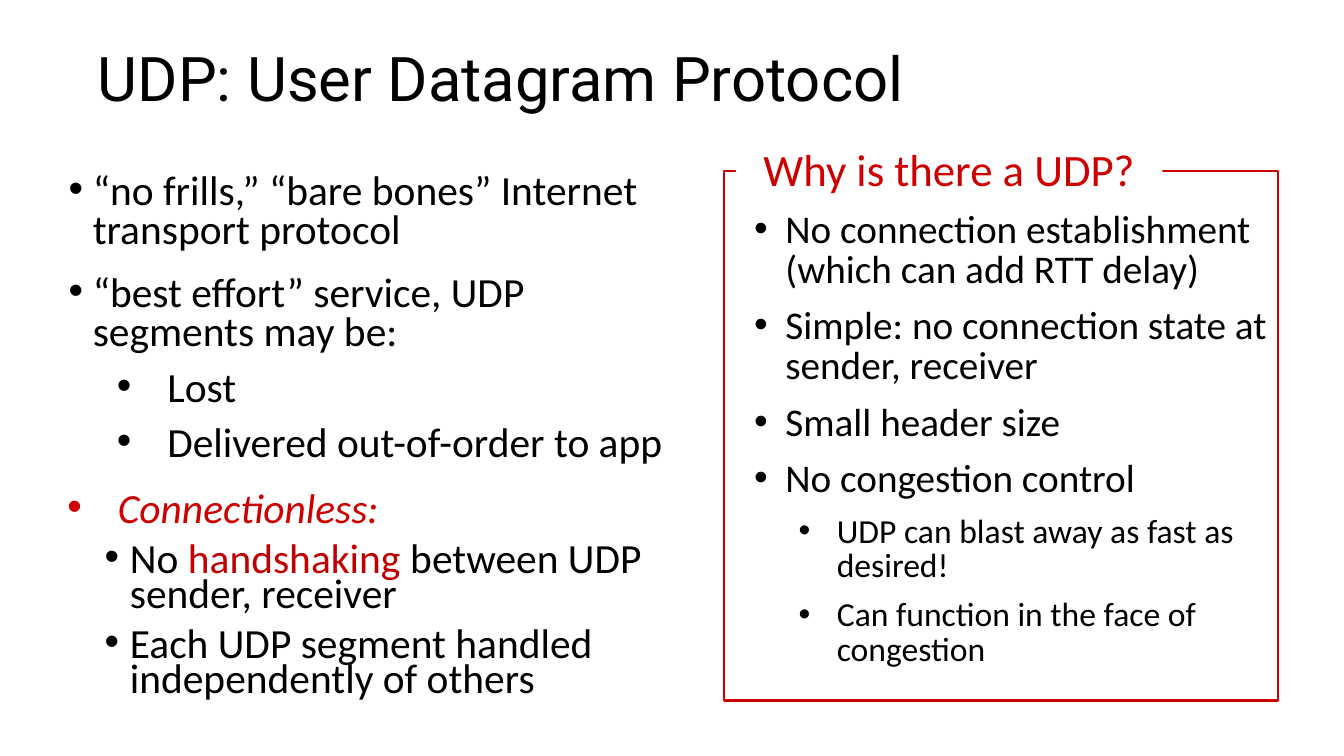
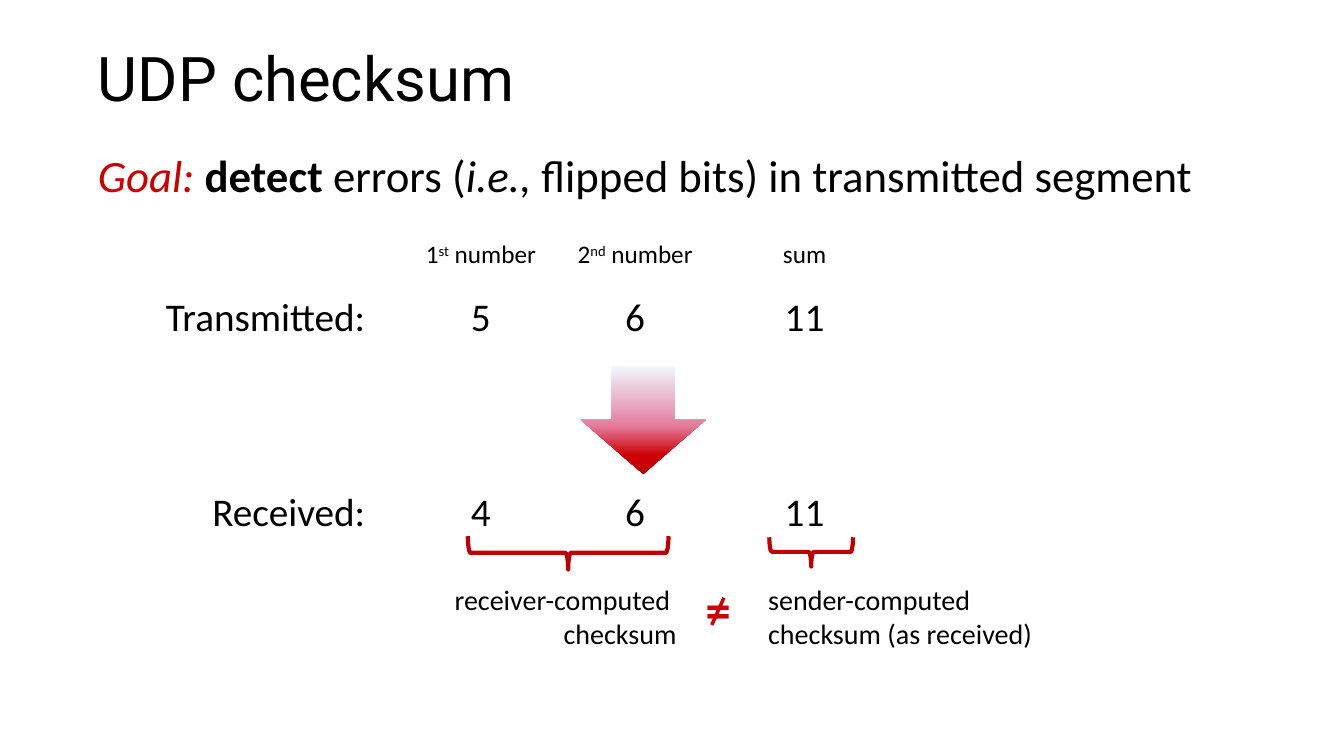
from lxml.etree import SubElement
from pptx import Presentation
from pptx.dml.color import RGBColor
from pptx.enum.shapes import MSO_CONNECTOR, MSO_SHAPE
from pptx.enum.text import MSO_ANCHOR, MSO_AUTO_SIZE, PP_ALIGN
from pptx.oxml.ns import qn
from pptx.util import Inches, Pt

# Shared style
COLORS = {"black": "000000", "white": "FFFFFF", "red": "CC0000",
          "dark_red": "C00000", "alert": "CD0004"}
ARROW_STOPS = [(0, "F0F8FD"), (55, "E47E9F"), (83, "CD0004"), (100, "C00000")]
BODY_FONT, TITLE_FONT = "Calibri", "Roboto"
LAYOUT_CONTENT, LAYOUT_TWO_CONTENT = 1, 3


def rgb(name):
    return RGBColor.from_string(COLORS[name])


def box(*lengths):
    return [Inches(v) for v in lengths]


def place(sp, at):
    sp.left, sp.top, sp.width, sp.height = box(*at)
    return sp


def setup_frame(sp, anchor=MSO_ANCHOR.TOP):
    tf = sp.text_frame
    settings = {"word_wrap": True, "auto_size": MSO_AUTO_SIZE.NONE,
                "vertical_anchor": anchor}
    for name, value in settings.items():
        setattr(tf, name, value)
    return tf


def add_run(p, text, size, color="black", font=BODY_FONT, bold=False,
            italic=False, raised=False):
    r = p.add_run()
    r.text = text
    settings = {"name": font, "size": Pt(size), "bold": bold, "italic": italic}
    for name, value in settings.items():
        setattr(r.font, name, value)
    r.font.color.rgb = rgb(color)
    if raised:
        r._r.get_or_add_rPr().set("baseline", "30000")


def format_paragraph(p, level=0, align=PP_ALIGN.LEFT, spacing=1.0, before=0,
                     after=0, indent=(0, 0), bullet=False):
    settings = {"level": level, "alignment": align, "line_spacing": spacing,
                "space_before": Pt(before), "space_after": Pt(after)}
    for name, value in settings.items():
        setattr(p, name, value)
    pPr = p._p.get_or_add_pPr()
    for name, value in zip(("marL", "indent"), indent):
        pPr.set(name, str(Inches(value)))
    if bullet:
        SubElement(pPr, qn("a:buFont")).set("typeface", "Arial")
        SubElement(pPr, qn("a:buChar")).set("char", "•")
    else:
        SubElement(pPr, qn("a:buNone"))


def write(tf, paragraphs, size, **fmt):
    """Each paragraph is a text or a list of (text, run format) pairs."""
    for i, runs in enumerate(paragraphs):
        p = tf.paragraphs[0] if i == 0 else tf.add_paragraph()
        format_paragraph(p, **fmt)
        for text, style in ([(runs, {})] if isinstance(runs, str) else runs):
            add_run(p, text, size, **style)


def write_list(tf, items, styles):
    """Each item is (level, runs); styles holds (size, format) per level."""
    for i, (level, runs) in enumerate(items):
        p = tf.paragraphs[0] if i == 0 else tf.add_paragraph()
        size, fmt = styles[level]
        format_paragraph(p, level=level, bullet=True, after=6, **fmt)
        for text, style in ([(runs, {})] if isinstance(runs, str) else runs):
            add_run(p, text, size, **style)


def add_slide(prs, layout, title):
    s = prs.slides.add_slide(prs.slide_layouts[layout])
    sp = place(s.shapes.title, (0.87, 0.32, 12.14, 0.98))
    write(setup_frame(sp, MSO_ANCHOR.MIDDLE), [[(title, {"font": TITLE_FONT})]],
          44, spacing=0.9)
    return s


def add_text(s, at, paragraphs, size, **fmt):
    sp = s.shapes.add_textbox(*box(*at))
    write(setup_frame(sp), paragraphs, size, **fmt)


def add_shape(s, kind, at, fill=None, line=None, width=1.5):
    sp = s.shapes.add_shape(kind, *box(*at))
    sp.shadow.inherit = False
    if fill:
        sp.fill.solid()
        sp.fill.fore_color.rgb = rgb(fill)
    else:
        sp.fill.background()
    if line:
        sp.line.color.rgb = rgb(line)
        sp.line.width = Pt(width)
    else:
        sp.line.fill.background()
    return sp


def add_brace(s, at):
    sp = add_shape(s, MSO_SHAPE.RIGHT_BRACE, at, line="dark_red", width=3)
    sp.rotation = 90


def add_gradient_arrow(s, at):
    sp = add_shape(s, MSO_SHAPE.DOWN_ARROW, at)
    sp.fill.gradient()
    sp.fill.gradient_angle = 270
    stops = sp._element.spPr.find(qn("a:gradFill")).find(qn("a:gsLst"))
    stops.clear()
    for position, color in ARROW_STOPS:
        stop = SubElement(stops, qn("a:gs"), pos=str(position * 1000))
        SubElement(stop, qn("a:srgbClr"), val=color)


def add_line(s, start, end, color, width):
    line = s.shapes.add_connector(MSO_CONNECTOR.STRAIGHT, *box(*start, *end))
    line.line.color.rgb = rgb(color)
    line.line.width = Pt(width)
    SubElement(line._element.spPr, qn("a:effectLst"))


def build_overview(prs):
    s = add_slide(prs, LAYOUT_TWO_CONTENT, "UDP: User Datagram Protocol")

    # Service properties
    service = place(s.placeholders[1], (0.43, 1.67, 6.5, 3.2))
    write_list(setup_frame(service), [
        (0, "“no frills,” “bare bones” Internet transport protocol"),
        (0, "“best effort” service, UDP segments may be:"),
        (1, "Lost"),
        (1, "Delivered out-of-order to app"),
    ], [(29.6, {"spacing": 0.8, "before": 10, "indent": (0.39, -0.24)}),
        (29.6, {"spacing": 0.8, "before": 5, "indent": (1.13, -0.5)})])

    # Framed reasons
    reasons = place(s.placeholders[2], (7.38, 2.05, 5.3, 4.36))
    write_list(setup_frame(reasons), [
        (0, "No connection establishment (which can add RTT delay)"),
        (0, "Simple: no connection state at sender, receiver"),
        (0, "Small header size"),
        (0, "No congestion control"),
        (1, "UDP can blast away as fast as desired!"),
        (1, "Can function in the face of congestion"),
    ], [(28, {"spacing": 0.85, "before": 5.6, "indent": (0.31, -0.31)}),
        (24, {"spacing": 0.85, "before": 4.8, "indent": (0.82, -0.38)})])
    add_shape(s, MSO_SHAPE.RECTANGLE, (7.18, 1.7, 5.5, 5.25), line="red")
    heading = add_shape(s, MSO_SHAPE.RECTANGLE, (7.3, 1.46, 4.23, 0.54), fill="white")
    write(setup_frame(heading), [[("Why is there a UDP?", {"color": "red"})]], 32,
          align=PP_ALIGN.CENTER, spacing=0.8)

    # Connectionless
    connectionless = s.shapes.add_textbox(*box(0.43, 4.87, 6.07, 2.25))
    write_list(setup_frame(connectionless), [
        (0, [("Connectionless:", {"color": "red", "italic": True})]),
        (1, [("No ", {}), ("handshaking", {"color": "dark_red"}),
             (" between UDP sender, receiver", {})]),
        (1, "Each UDP segment handled independently of others"),
    ], [(29.6, {"spacing": 0.7, "before": 10, "indent": (0.64, -0.5)}),
        (29.6, {"spacing": 0.7, "before": 5, "indent": (0.76, -0.25)})])


def build_checksum(prs):
    s = add_slide(prs, LAYOUT_CONTENT, "UDP checksum")

    # Goal
    goal = place(s.placeholders[1], (0.87, 1.5, 12.14, 0.93))
    write(setup_frame(goal), [[
        ("Goal: ", {"color": "red", "italic": True}),
        ("detect ", {"bold": True}), ("errors (", {}),
        ("i.e., ", {"italic": True}),
        ("flipped bits) in transmitted segment", {}),
    ]], 32, spacing=0.85, indent=(0.38, -0.38))

    # Number grid: headers, then one row per side
    centers, col_w = (4.77, 6.3, 7.98), 1.5
    headers = [[("1", {}), ("st", {"raised": True}), (" number", {})],
               [("2", {}), ("nd", {"raised": True}), (" number", {})],
               "sum"]
    for center, header in zip(centers, headers):
        add_text(s, (center - col_w / 2, 2.32, col_w, 0.4), [header], 18,
                 align=PP_ALIGN.CENTER)
    rows = [(2.9, "Transmitted:", ("5", "6", "11")),
            (4.84, "Received:", ("4", "6", "11"))]
    for top, label, values in rows:
        add_text(s, (1.2, top, 2.52, 0.63), [label], 28,
                 align=PP_ALIGN.RIGHT, spacing=0.9)
        for center, value in zip(centers, values):
            add_text(s, (center - col_w / 2, top, col_w, 0.63), [value], 28,
                     align=PP_ALIGN.CENTER, spacing=0.9)
    add_gradient_arrow(s, (5.76, 3.63, 1.24, 1.07))

    # Checksum comparison
    add_brace(s, (5.47, 4.49, 0.33, 1.99))
    add_text(s, (4.38, 5.73, 2.43, 0.77), ["receiver-computed ", "checksum"], 20,
             align=PP_ALIGN.RIGHT)
    add_brace(s, (7.9, 5.06, 0.29, 0.83))
    add_text(s, (7.52, 5.73, 2.95, 0.77),
             ["sender-computed", "checksum (as received)"], 20)
    add_text(s, (6.9, 5.69, 0.48, 0.71),
             [[("=", {"color": "alert", "bold": True})]], 36)
    add_line(s, (7.18, 5.93), (7.06, 6.2), "alert", 2.5)


def main():
    prs = Presentation()
    prs.slide_width, prs.slide_height = box(13.33, 7.5)
    build_overview(prs)
    build_checksum(prs)
    prs.save("out.pptx")


if __name__ == "__main__":
    main()
